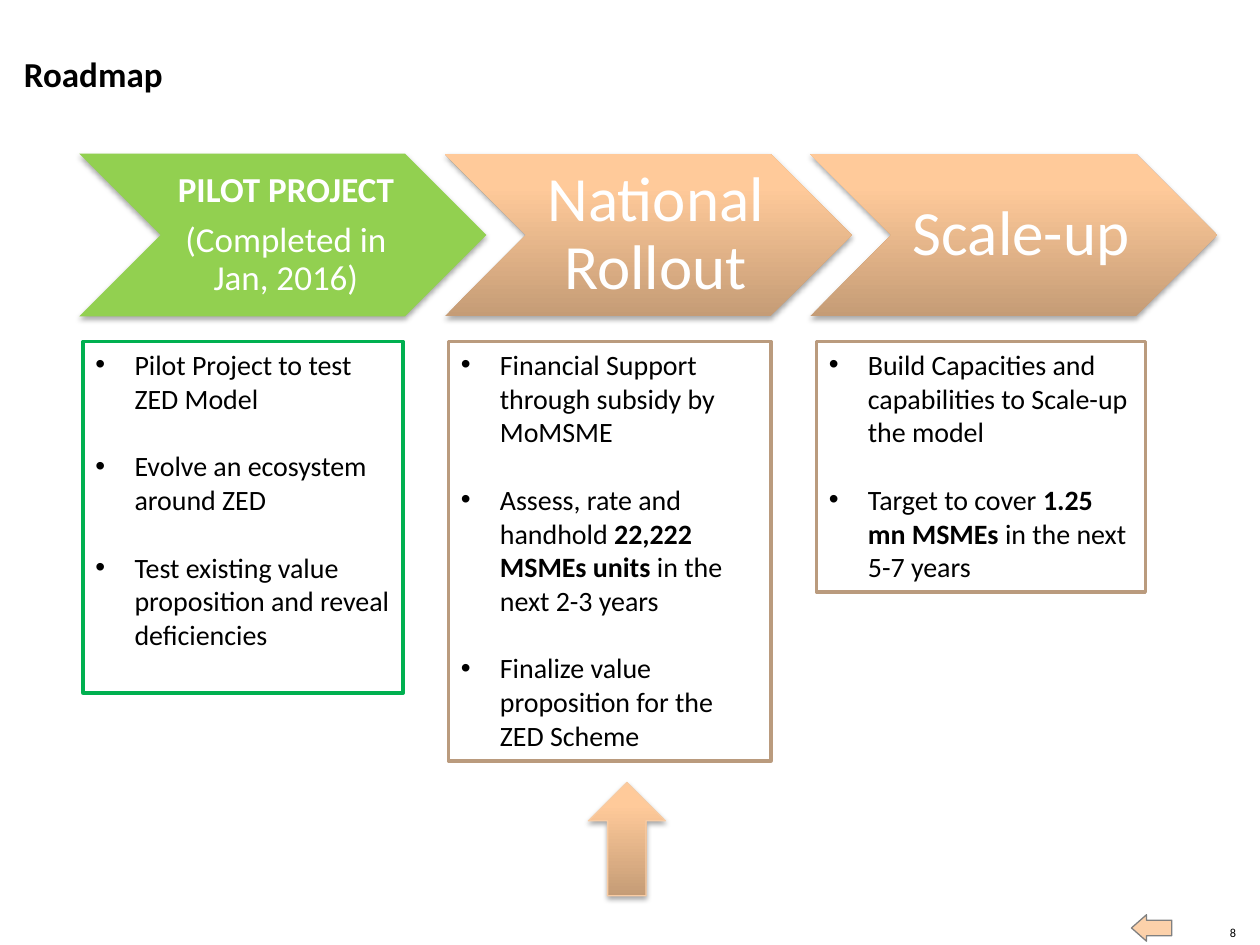
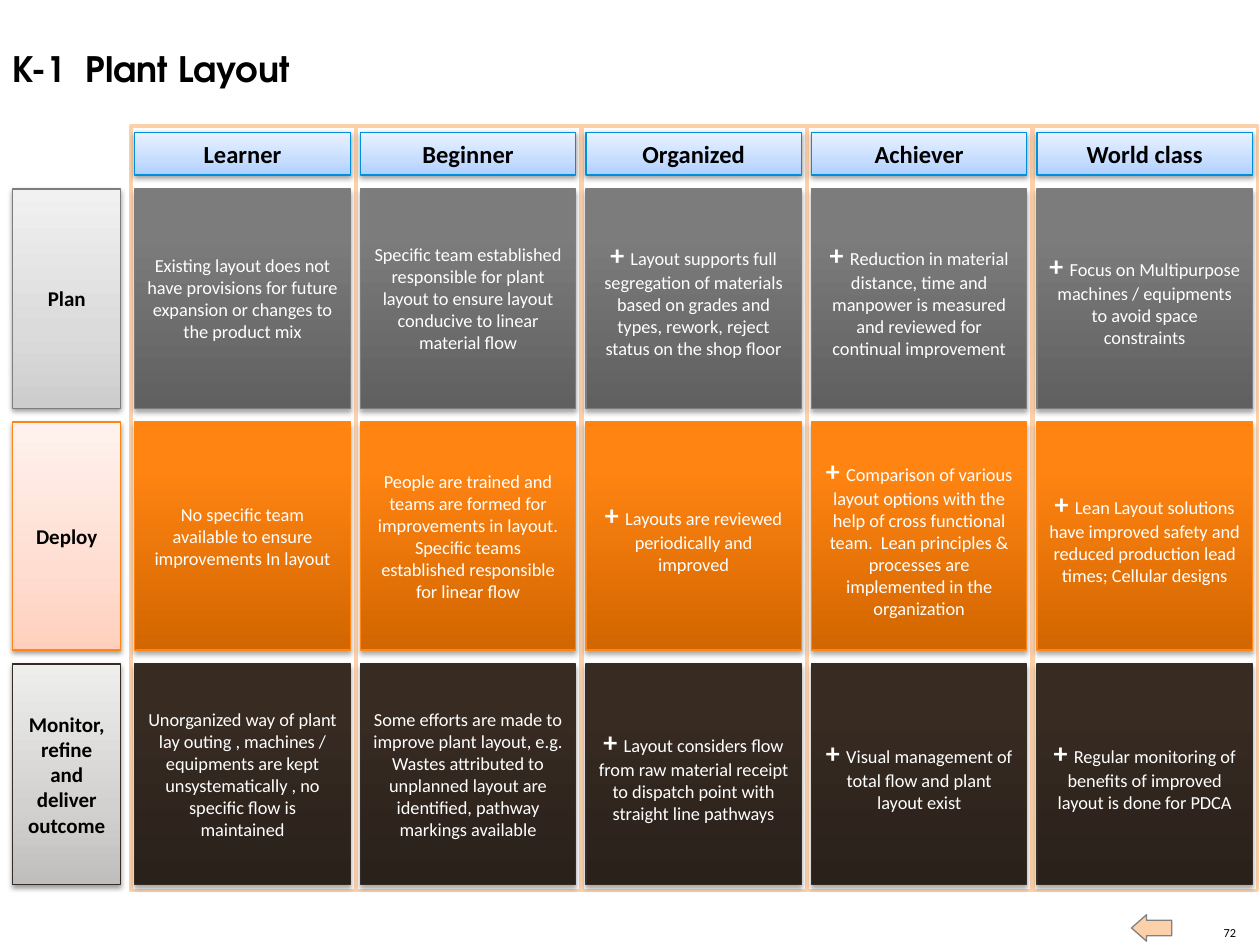
from copy import deepcopy
from dataclasses import dataclass
from typing import NamedTuple, Optional

from lxml import etree
from pptx import Presentation
from pptx.dml.color import RGBColor
from pptx.enum.shapes import MSO_SHAPE as Preset
from pptx.enum.text import MSO_ANCHOR as Anchor, PP_ALIGN as Align
from pptx.oxml.ns import qn
from pptx.shapes.autoshape import Shape
from pptx.slide import Slide
from pptx.util import Inches, Pt

BLACK = RGBColor(0x00, 0x00, 0x00)
WHITE = RGBColor(0xFF, 0xFF, 0xFF)
GREY = RGBColor(0x80, 0x80, 0x80)
PEACH = RGBColor(0xFC, 0xD1, 0xAA)
PEACH_EDGE = RGBColor(0xF8, 0xCC, 0xA4)
LIME = RGBColor(0x92, 0xD0, 0x50)
GREEN = RGBColor(0x00, 0xB0, 0x50)
TAN = RGBColor(0xBA, 0x9B, 0x7E)
SKY_EDGE = RGBColor(0x00, 0x8F, 0xDC)
STEEL = RGBColor(0x7D, 0x7D, 0x7D)
ORANGE = RGBColor(0xFF, 0x86, 0x15)
COFFEE = RGBColor(0x35, 0x2C, 0x25)

BODY_FONT = "Calibri"
PLANT_FONT = "TeX Gyre Adventor"
EMU_PER_POINT = 12700


class Area(NamedTuple):
    left: float
    top: float
    width: float
    height: float


class Span(NamedTuple):
    text: str
    size: float
    color: RGBColor = BLACK
    bold: bool = False
    font: str = BODY_FONT


class Gradient(NamedTuple):
    """Three colours from bottom to top, with the place of the middle one."""
    bottom: RGBColor
    middle: RGBColor
    top: RGBColor
    middle_at: float


class Shadow(NamedTuple):
    opacity: int
    distance: float
    blur: float = 3.1


@dataclass(frozen=True)
class Style:
    fill: RGBColor | Gradient
    edge: Optional[RGBColor] = None
    edge_width: float = 0.75
    shadow: Optional[Shadow] = None


@dataclass(frozen=True)
class Phase:
    heading: tuple[Span, ...]
    arrow_style: Style
    inset: float
    note_area: Area
    note_edge: RGBColor
    points: tuple[tuple[Span, ...], ...]


@dataclass(frozen=True)
class Stage:
    name: str
    height: float
    name_style: Style
    cell_style: Style
    cells: tuple[str, ...]


def rgb(value: str) -> RGBColor:
    return RGBColor.from_string(value)


def soft(bottom: str, middle: str, top: str, edge: RGBColor) -> Style:
    fill = Gradient(rgb(bottom), rgb(middle), rgb(top), 0.35)
    return Style(fill, edge, shadow=Shadow(38, 1.6))


def strong(bottom: str, middle: str, top: str, edge: Optional[RGBColor]) -> Style:
    fill = Gradient(rgb(bottom), rgb(middle), rgb(top), 0.8)
    return Style(fill, edge, shadow=Shadow(35, 1.8))


def apply_gradient(shape: Shape, gradient: Gradient) -> None:
    shape.fill.gradient()
    shape.fill.gradient_angle = 90
    stops = shape._element.spPr.find(f".//{qn('a:gsLst')}")
    stops.append(deepcopy(stops[-1]))
    places = (0, gradient.middle_at, 1)
    for stop, place, color in zip(shape.fill.gradient_stops, places, gradient):
        stop.position = place
        stop.color.rgb = color


def apply_shadow(shape: Shape, shadow: Shadow) -> None:
    effects = shape._element.spPr.find(qn("a:effectLst"))
    outer = etree.SubElement(
        effects, qn("a:outerShdw"), blurRad=str(int(shadow.blur * EMU_PER_POINT)),
        dist=str(int(shadow.distance * EMU_PER_POINT)), dir="5400000", rotWithShape="0")
    color = etree.SubElement(outer, qn("a:srgbClr"), val="000000")
    etree.SubElement(color, qn("a:alpha"), val=str(shadow.opacity * 1000))


def add_box(page: Slide, area: Area, style: Style, preset: Preset = Preset.RECTANGLE) -> Shape:
    box = page.shapes.add_shape(preset, *map(Inches, area))
    box.shadow.inherit = False
    if isinstance(style.fill, Gradient):
        apply_gradient(box, style.fill)
    else:
        box.fill.solid()
        box.fill.fore_color.rgb = style.fill
    if style.edge is None:
        box.line.fill.background()
    else:
        box.line.color.rgb = style.edge
        box.line.width = Pt(style.edge_width)
    if style.shadow:
        apply_shadow(box, style.shadow)
    return box


def write(shape: Shape, paragraphs: tuple[tuple[Span, ...], ...], align: Align = Align.CENTER,
          anchor: Anchor = Anchor.MIDDLE, bulleted: bool = False, wrap: bool = True) -> None:
    frame = shape.text_frame
    frame.word_wrap = wrap
    frame.vertical_anchor = anchor
    for index, spans in enumerate(paragraphs):
        para = frame.add_paragraph() if index else frame.paragraphs[0]
        para.alignment = align
        if bulleted:
            properties = para._p.get_or_add_pPr()
            properties.set("marL", str(Inches(0.31)))
            properties.set("indent", str(-Inches(0.31)))
            etree.SubElement(properties, qn("a:buFont"), typeface="Arial")
            etree.SubElement(properties, qn("a:buChar"), char="•")
            if index:
                para.space_before = Pt(19.5)
        for span in spans:
            run = para.add_run()
            run.text = span.text
            run.font.size = Pt(span.size)
            run.font.bold = span.bold
            run.font.name = span.font
            run.font.color.rgb = span.color


def set_margins(shape: Shape, left: float, others: float) -> None:
    frame = shape.text_frame
    frame.margin_left = Inches(left)
    frame.margin_top = frame.margin_right = frame.margin_bottom = Inches(others)


def add_label(page: Slide, area: Area, span: Span, align: Align, anchor: Anchor, wrap: bool) -> None:
    label = page.shapes.add_textbox(*map(Inches, area))
    set_margins(label, 0, 0)
    write(label, ((span,),), align, anchor, wrap=wrap)


def add_page(deck: Presentation, number: str, title: Span, left: float, top: float) -> Slide:
    """Add a blank page with its title, back arrow and page number."""
    page = deck.slides.add_slide(deck.slide_layouts[6])
    add_label(page, Area(9.69, 7.34, 0.12, 0.12), Span(number, 7), Align.RIGHT, Anchor.BOTTOM, False)
    back = add_box(page, Area(8.98, 7.26, 0.32, 0.21), Style(PEACH, GREY), Preset.LEFT_ARROW)
    back.adjustments[0] = 0.59
    back.adjustments[1] = 0.57
    add_label(page, Area(left, top, 7.65, 0.34), title, Align.LEFT, Anchor.TOP, True)
    return page


def point(text: str, strong_text: str = "", rest: str = "") -> tuple[Span, ...]:
    spans = (Span(text, 16), Span(strong_text, 16, bold=True), Span(rest, 16))
    return tuple(span for span in spans if span.text)


PEACH_ARROW = strong("C59C76", "FFCA9A", "FFCB9C", None)
UP_ARROW = strong("C59C76", "FFCA9A", "FFCB9C", PEACH_EDGE)
HEADER = soft("AECFFF", "C6DDFF", "E9F2FF", SKY_EDGE)
COLUMN_FRAME = Style(WHITE, PEACH, 2)

PHASES = (
    Phase((Span("PILOT PROJECT", 20, WHITE, True), Span("(Completed in Jan, 2016)", 20, WHITE)),
          Style(LIME, shadow=Shadow(35, 1.8)), 0.09, Area(0.66, 2.71, 2.54, 2.79), GREEN,
          (point("Pilot Project to test ZED Model"),
           point("Evolve an ecosystem around ZED"),
           point("Test existing value proposition and reveal deficiencies"))),
    Phase((Span("National Rollout", 36, WHITE),),
          PEACH_ARROW, 0.16, Area(3.56, 2.71, 2.56, 3.33), TAN,
          (point("Financial Support through subsidy by MoMSME"),
           point("Assess, rate and handhold ", "22,222 MSMEs units", " in the next 2-3 years"),
           point("Finalize value proposition for the ZED Scheme"))),
    Phase((Span("Scale-up", 36, WHITE),),
          PEACH_ARROW, 0.16, Area(6.48, 2.71, 2.61, 1.99), TAN,
          (point("Build Capacities and capabilities to Scale-up the model"),
           point("Target to cover ", "1.25 mn MSMEs ", "in the next 5-7 years"))),
)

LEVELS = ("Learner", "Beginner", "Organized", "Achiever", "World class")
FIRST_PLUS_LEVEL = LEVELS.index("Organized")
STAGES = (
    Stage("Plan", 1.74, soft("CDCDCD", "DBDBDB", "F1F1F1", STEEL),
          strong("606060", "7C7C7C", "7D7D7D", STEEL),
          ("Existing layout does not have provisions for future expansion or changes to the product mix",
           "Specific team established responsible for plant layout to ensure layout conducive to "
           "linear material flow",
           "Layout supports full segregation of materials based on grades and types, rework, "
           "reject status on the shop floor",
           "Reduction in material distance, time and manpower is measured and reviewed for "
           "continual improvement",
           "Focus on Multipurpose machines / equipments to avoid space constraints")),
    Stage("Deploy", 1.81, soft("FFCFBD", "FFDDD1", "FFF2EE", ORANGE),
          strong("D26600", "FF8412", "FF8514", ORANGE),
          ("No specific team available to ensure improvements In layout",
           "People are trained and teams are formed for improvements in layout. Specific teams "
           "established responsible for linear flow",
           "Layouts are reviewed periodically and improved",
           "Comparison of various layout options with the help of cross functional team.  Lean "
           "principles & processes are implemented in the organization",
           "Lean Layout solutions have improved safety and reduced production lead times; "
           "Cellular designs")),
    Stage("Monitor, refine and deliver outcome", 1.75, soft("C0BEBC", "D3D1D0", "EEEEED", COFFEE),
          strong("2A211B", "372B22", "372B22", COFFEE),
          ("Unorganized way of plant lay outing , machines / equipments are kept unsystematically , "
           "no specific flow is maintained",
           "Some efforts are made to improve plant layout, e.g. Wastes attributed to unplanned "
           "layout are identified, pathway markings available",
           "Layout considers flow from raw material receipt to dispatch point with straight line "
           "pathways",
           "Visual management of total flow and plant layout exist",
           "Regular monitoring of benefits of improved layout is done for PDCA")),
)


def build_roadmap(deck: Presentation) -> None:
    page = add_page(deck, "8", Span("Roadmap", 20, bold=True), 0.19, 0.42)
    for index, phase in enumerate(PHASES):
        area = Area(0.63 + 2.9 * index, 1.22, 3.23, 1.29)
        chevron = add_box(page, area, phase.arrow_style, Preset.CHEVRON)
        set_margins(chevron, phase.inset, 0.04)
        write(chevron, tuple((span,) for span in phase.heading))
        for position, para in enumerate(chevron.text_frame.paragraphs):
            para.line_spacing = 0.9
            if position:
                para.space_before = Pt(7)
        note = add_box(page, phase.note_area, Style(WHITE, phase.note_edge, 2))
        write(note, phase.points, Align.LEFT, Anchor.TOP, bulleted=True)
    add_box(page, Area(4.67, 6.21, 0.61, 0.9), UP_ARROW, Preset.UP_ARROW)


def build_plant_layout(deck: Presentation) -> None:
    title = Span("K-1  Plant Layout", 20, bold=True, font=PLANT_FONT)
    page = add_page(deck, "72", title, 0.1, 0.38)
    frame_lefts = [1.04 + 1.79 * index for index in range(len(LEVELS))]
    card_lefts = [left + 0.03 for left in frame_lefts]
    for left in frame_lefts:
        add_box(page, Area(left, 1, 1.78, 6.07), COLUMN_FRAME)
    for left, level in zip(card_lefts, LEVELS):
        header = add_box(page, Area(left, 1.05, 1.71, 0.34), HEADER)
        write(header, ((Span(level, 14, bold=True),),))
    top = 1.5
    for stage in STAGES:
        name_box = add_box(page, Area(0.1, top, 0.86, stage.height), stage.name_style)
        write(name_box, ((Span(stage.name, 12, bold=True),),))
        for index, (left, text) in enumerate(zip(card_lefts, stage.cells)):
            card = add_box(page, Area(left, top, 1.71, stage.height), stage.cell_style)
            plus = (Span("+ ", 16, WHITE, True),) if index >= FIRST_PLUS_LEVEL else ()
            write(card, (plus + (Span(text, 10.5, WHITE),),))
        top += stage.height + 0.11


def main() -> None:
    deck = Presentation()
    deck.slide_width = Inches(10)
    deck.slide_height = Inches(7.5)
    build_roadmap(deck)
    build_plant_layout(deck)
    deck.save("out.pptx")


if __name__ == "__main__":
    main()
